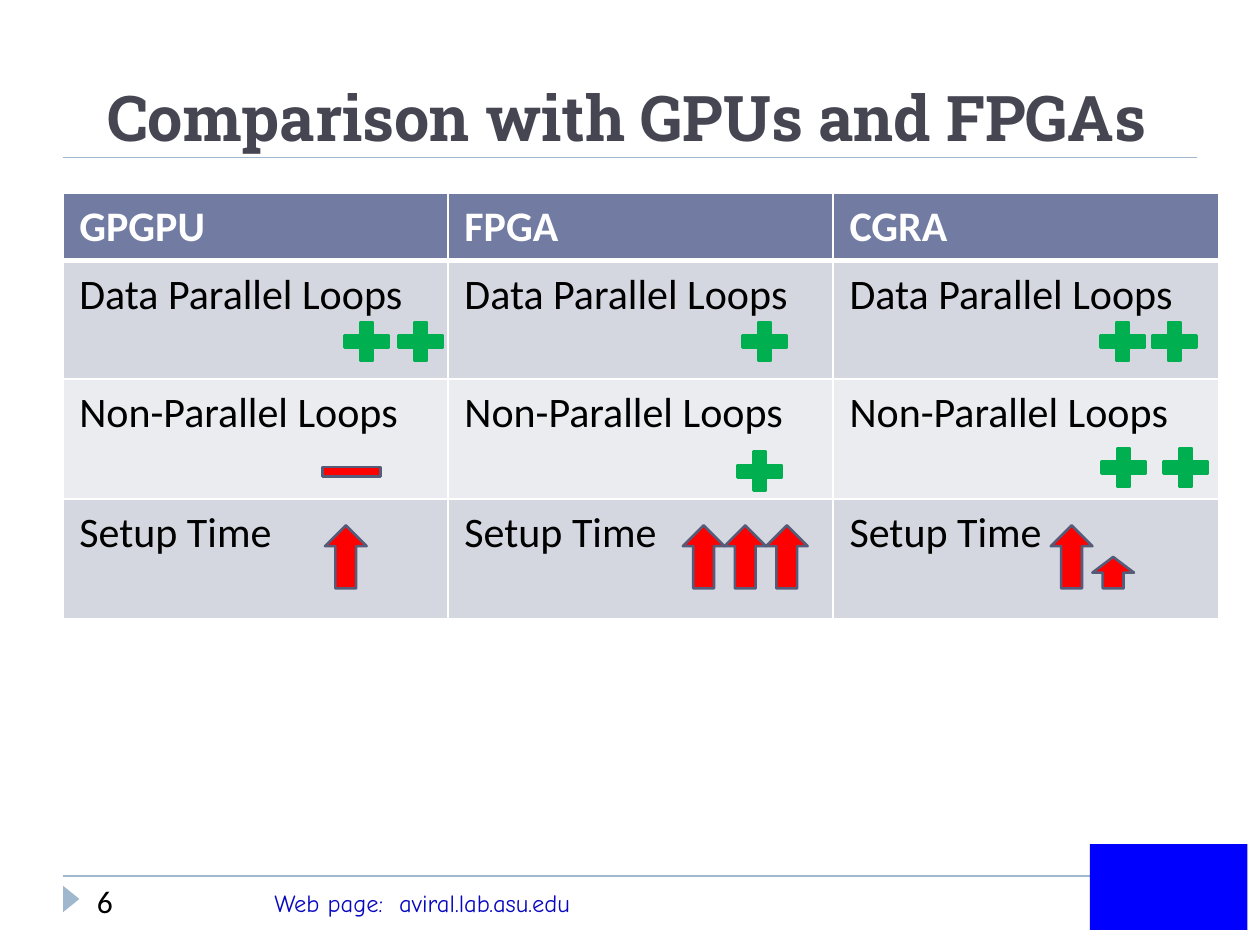
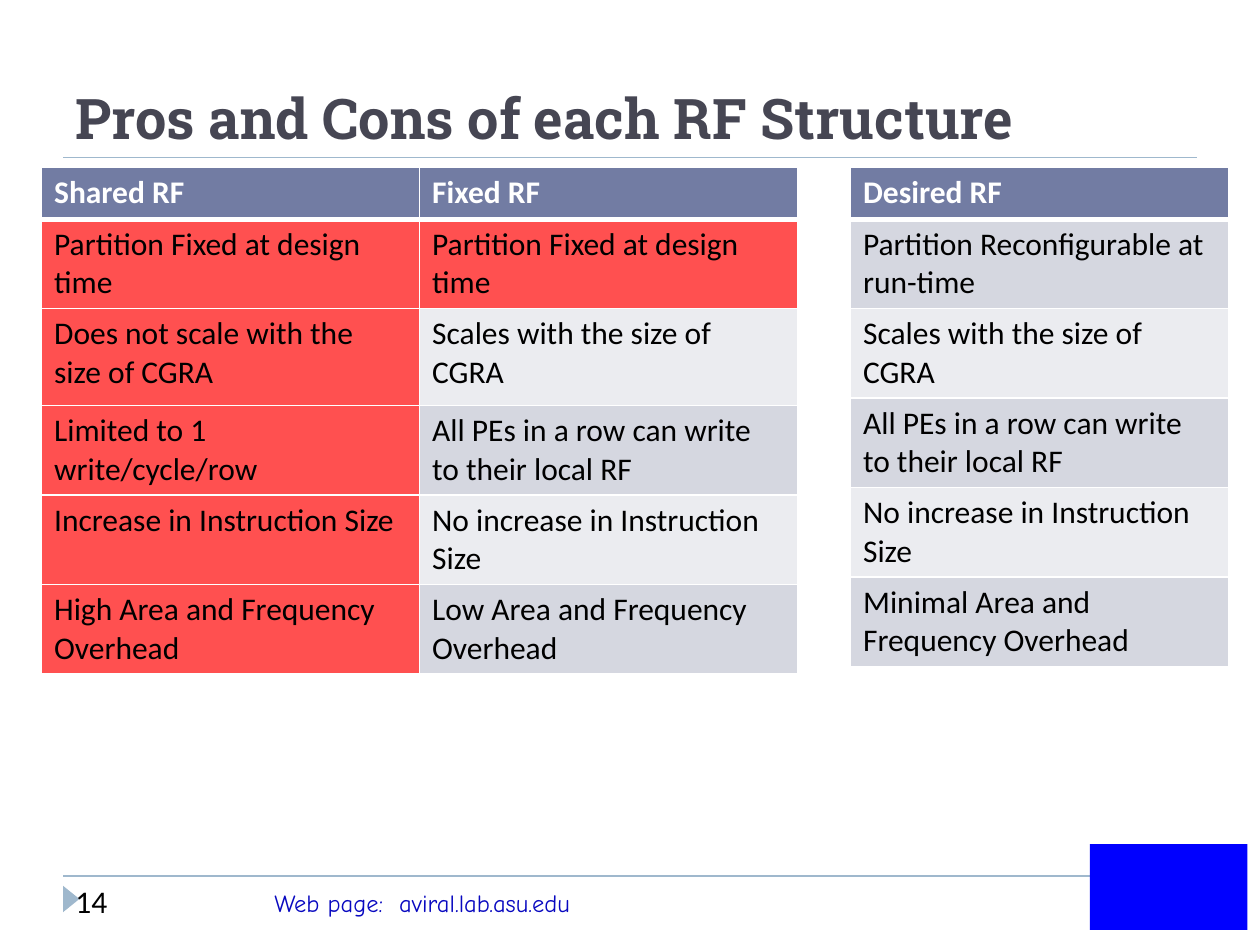
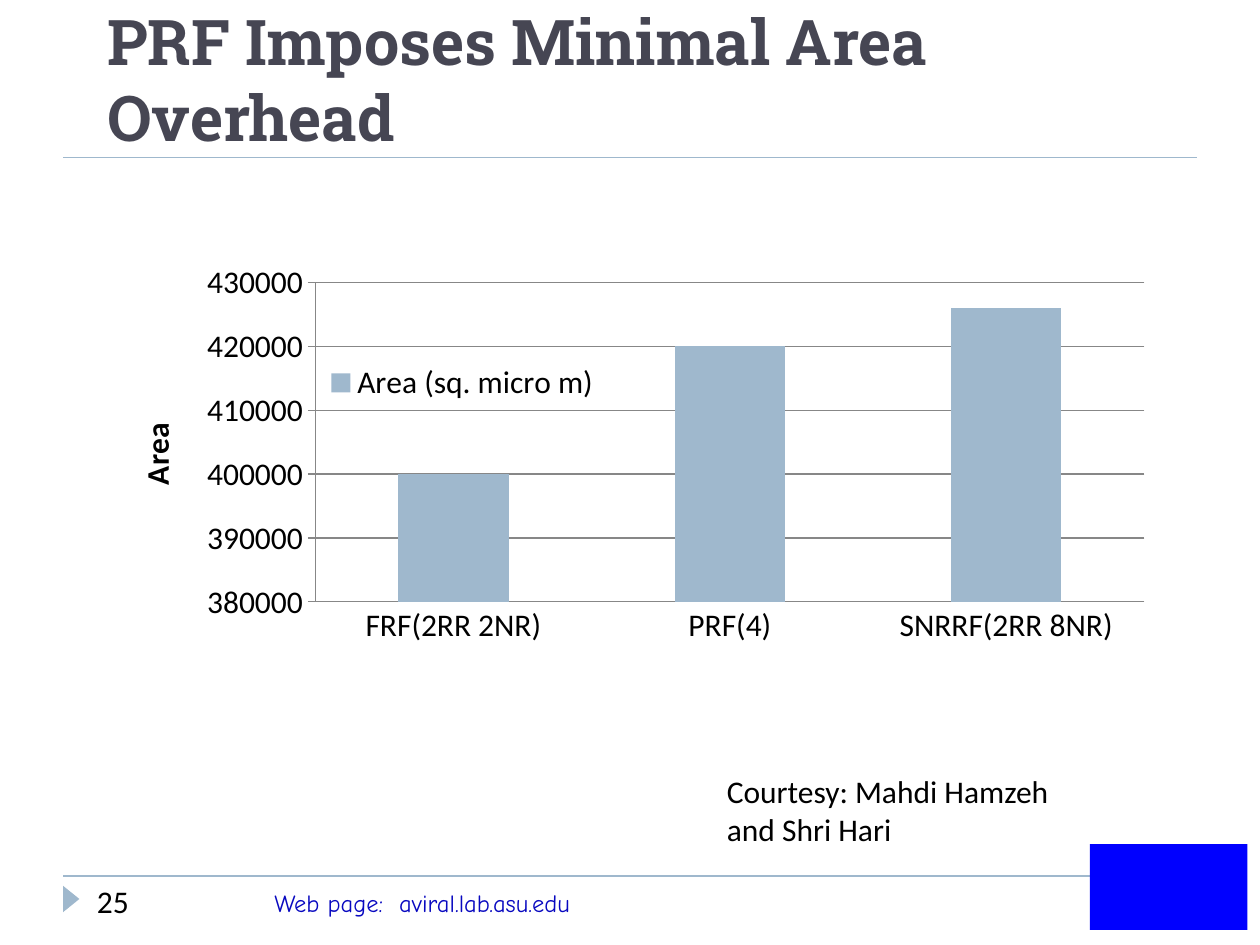
"""Build three slides that compare accelerators and register file structures."""
from lxml.etree import SubElement
from pptx import Presentation
from pptx.chart.data import CategoryChartData
from pptx.dml.color import RGBColor
from pptx.enum.chart import XL_CHART_TYPE, XL_LEGEND_POSITION, XL_TICK_MARK
from pptx.enum.shapes import MSO_CONNECTOR, MSO_SHAPE
from pptx.enum.text import MSO_ANCHOR, MSO_AUTO_SIZE, PP_ALIGN
from pptx.oxml.ns import qn
from pptx.util import Inches, Pt

SKY, SLATE, EDGE, INK = "9FB8CD", "727CA3", "545C79", "464653"
BANDS = ("D5D7E0", "EBECF0")
GREEN, RED, ROSE, BLUE = "00B050", "FF0000", "FF5050", "0000FF"
BLACK, WHITE, GRAY, NAVY = "000000", "FFFFFF", "878787", "0808C0"
BODY, HEAD, HAND = "Calibri", "Roboto Slab", "Comic Neue"


def tint(color):
    return RGBColor.from_string(color)


def inch(*sizes):
    return [Inches(size) for size in sizes]


def style(font, size, color=BLACK, name=BODY, bold=False):
    font.size, font.name, font.bold = Pt(size), name, bold
    font.color.rgb = tint(color)


def place(part, spot, index):
    layout = part.find(qn("c:layout"))
    if layout is None:
        layout = part.makeelement(qn("c:layout"))
        part.insert(index, layout)
    manual = SubElement(layout, qn("c:manualLayout"))
    if index == 0:
        SubElement(manual, qn("c:layoutTarget"), val="inner")
    for key in ("xMode", "yMode"):
        SubElement(manual, qn(f"c:{key}"), val="edge")
    for key, val in zip("xywh", spot):
        SubElement(manual, qn(f"c:{key}"), val=str(val))


def border(cell, top, bottom):
    props = cell._tc.get_or_add_tcPr()
    for side, width in zip("LRTB", (1, 1, top, bottom)):
        line = SubElement(props, qn(f"a:ln{side}"), w=str(Pt(width)))
        fill = SubElement(line, qn("a:solidFill"))
        SubElement(fill, qn("a:srgbClr"), val=WHITE)


class Deck:
    def __init__(self):
        self.file = Presentation()
        self.file.slide_width, self.file.slide_height = inch(10, 7.5)

    def slide(self, title, number, size=36, at=(0.75, 0.19, 8.75, 1.08), left=0.67):
        self.page = self.file.slides.add_slide(self.file.slide_layouts[5])
        self.line(0.5, 8.67, 6.95)
        self.line(0.5, 9.5, 1.25)
        self.shape(MSO_SHAPE.ISOSCELES_TRIANGLE, (0.46, 7.07, 0.21, 0.13), SKY).rotation = 90
        self.shape(MSO_SHAPE.RECTANGLE, (8.65, 6.7, 1.25, 0.68), BLUE)
        self.text("Web page:\taviral.lab.asu.edu", (2.08, 7, 3.75, 0.34), 14, NAVY, HAND, 0.99)
        self.text(str(number), (left, 6.95, 1.41, 0.4))
        head = self.page.shapes.title
        head.left, head.top, head.width, head.height = inch(*at)
        frame = head.text_frame
        frame.text = title
        frame.vertical_anchor = MSO_ANCHOR.BOTTOM
        frame.auto_size = MSO_AUTO_SIZE.NONE
        para = frame.paragraphs[0]
        para.alignment = PP_ALIGN.LEFT
        style(para.font, size, INK, HEAD, True)

    def line(self, start, end, top):
        rule = self.page.shapes.add_connector(
            MSO_CONNECTOR.STRAIGHT, *inch(start, top, end, top))
        rule.line.color.rgb = tint(SKY)
        rule.line.width = Pt(1)
        SubElement(rule._element.spPr, qn("a:effectLst"))

    def shape(self, kind, at, fill, edge=None):
        item = self.page.shapes.add_shape(kind, *inch(*at))
        item.shadow.inherit = False
        item.fill.solid()
        item.fill.fore_color.rgb = tint(fill)
        if edge:
            item.line.color.rgb = tint(edge)
            item.line.width = Pt(1.5)
        else:
            item.line.fill.background()
        return item

    def text(self, words, at, size=18, color=BLACK, name=BODY, tab=None):
        frame = self.page.shapes.add_textbox(*inch(*at)).text_frame
        frame.word_wrap = True
        para = frame.paragraphs[0]
        para.text = words
        if tab:
            tabs = SubElement(para._p.get_or_add_pPr(), qn("a:tabLst"))
            SubElement(tabs, qn("a:tab"), pos=str(Inches(tab)), algn="l")
        style(para.font, size, color, name)

    def table(self, at, wide, highs, rows, size=18, pad=(0.1, 0.05), bad=()):
        count = len(rows[0])
        grid = self.page.shapes.add_table(
            len(rows), count, *inch(*at, wide, sum(highs))).table
        for col in grid.columns:
            col.width = Inches(wide / count)
        for r, (high, row) in enumerate(zip(highs, rows)):
            grid.rows[r].height = Inches(high)
            for c, words in enumerate(row):
                cell = grid.cell(r, c)
                cell.text = words
                cell.margin_left = cell.margin_right = Inches(pad[0])
                cell.margin_top = cell.margin_bottom = Inches(pad[1])
                border(cell, 3 if r == 1 else 1, 3 if r == 0 else 1)
                band = SLATE if r == 0 else BANDS[(r - 1) % 2]
                cell.fill.solid()
                cell.fill.fore_color.rgb = tint(ROSE if (r, c) in bad else band)
                style(cell.text_frame.paragraphs[0].font, size,
                      BLACK if r else WHITE, bold=r == 0)

    def chart(self, at, cats, name, vals, label):
        data = CategoryChartData()
        data.categories = cats
        data.add_series(name, vals)
        chart = self.page.shapes.add_chart(
            XL_CHART_TYPE.COLUMN_CLUSTERED, *inch(*at), data).chart
        style(chart.font, 18)
        chart.has_title = False
        plot = chart.plots[0]
        plot.gap_width, plot.vary_by_categories = 150, False
        fill = plot.series[0].format.fill
        fill.solid()
        fill.fore_color.rgb = tint(SKY)
        cat, val = chart.category_axis, chart.value_axis
        cat.major_tick_mark = XL_TICK_MARK.NONE
        val.major_tick_mark = XL_TICK_MARK.OUTSIDE
        val.minimum_scale, val.maximum_scale, val.major_unit = 380000, 430000, 10000
        val.has_major_gridlines = True
        for part in (cat, val, val.major_gridlines):
            part.format.line.color.rgb = tint(GRAY)
        val.axis_title.text_frame.text = label
        style(val.axis_title.text_frame.paragraphs[0].font, 18, bold=True)
        chart.has_legend = True
        chart.legend.position = XL_LEGEND_POSITION.RIGHT
        chart.legend.include_in_layout = False
        style(chart.legend.font, 18)
        place(chart._chartSpace.chart.plotArea, (0.19, 0.05, 0.79, 0.78), 0)
        place(chart.legend._element, (0.19, 0.23, 0.28, 0.13), 1)


def main():
    deck = Deck()

    deck.slide("Comparison with GPUs and FPGAs", 6)
    tasks = ("Data Parallel Loops", "Non-Parallel Loops", "Setup Time")
    deck.table((0.5, 1.53), 9.17, (0.53, 0.94, 0.95, 0.95),
               [("GPGPU", "FPGA", "CGRA")] + [(task,) * 3 for task in tasks],
               24, (0.13, 0.07))
    pluses = {2.5: (2.67, 3.1, 5.83, 8.67, 9.08), 3.53: (5.79,), 3.5: (8.68, 9.17)}
    for top, lefts in pluses.items():
        for left in lefts:
            deck.shape(MSO_SHAPE.MATH_PLUS, (left, top, 0.48, 0.42), GREEN, GREEN)
    deck.shape(MSO_SHAPE.MATH_MINUS, (2.48, 3.58, 0.62, 0.33), RED, EDGE)
    for left, high in ((2.58, 0.5), (5.42, 0.5), (5.75, 0.5), (6.08, 0.5),
                       (8.34, 0.5), (8.67, 0.25)):
        deck.shape(MSO_SHAPE.UP_ARROW, (left, 4.67 - high, 0.33, high), RED, EDGE)

    deck.slide("Pros and Cons of each RF Structure", 14, 32, (0.5, 0.17, 9, 1.08), 0.5)
    deck.table((0.33, 1.33), 6, (0.41, 0.71, 0.77, 0.71, 0.71, 0.71), [
        ("Shared RF", "Fixed RF"),
        ("Partition Fixed at design time",) * 2,
        ("Does not scale with the size of CGRA", "Scales with the size of CGRA"),
        ("Limited to 1 write/cycle/row", "All PEs in a row can write to their local RF"),
        ("Increase in Instruction Size", "No increase in Instruction Size"),
        ("High Area and Frequency Overhead", "Low Area and Frequency Overhead"),
    ], bad=[(1, 1)] + [(row, 0) for row in range(1, 6)])
    deck.table((6.75, 1.33), 3, [0.41] + [0.71] * 5, [
        ("Desired RF",),
        ("Partition Reconfigurable at run-time",),
        ("Scales with the size of CGRA",),
        ("All PEs in a row can write to their local RF",),
        ("No increase in Instruction Size",),
        ("Minimal Area and Frequency Overhead",),
    ])

    deck.slide("PRF Imposes Minimal Area Overhead", 25)
    deck.chart((0.92, 2.08, 8.33, 3.25), ("FRF(2RR 2NR)", "PRF(4)", "SNRRF(2RR 8NR)"),
               "Area (sq. micro m)", (400000, 420000, 426000), "Area")
    deck.text("Courtesy: Mahdi Hamzeh and Shri Hari", (5.67, 6.08, 3.08, 0.71))

    deck.file.save("out.pptx")


if __name__ == "__main__":
    main()
